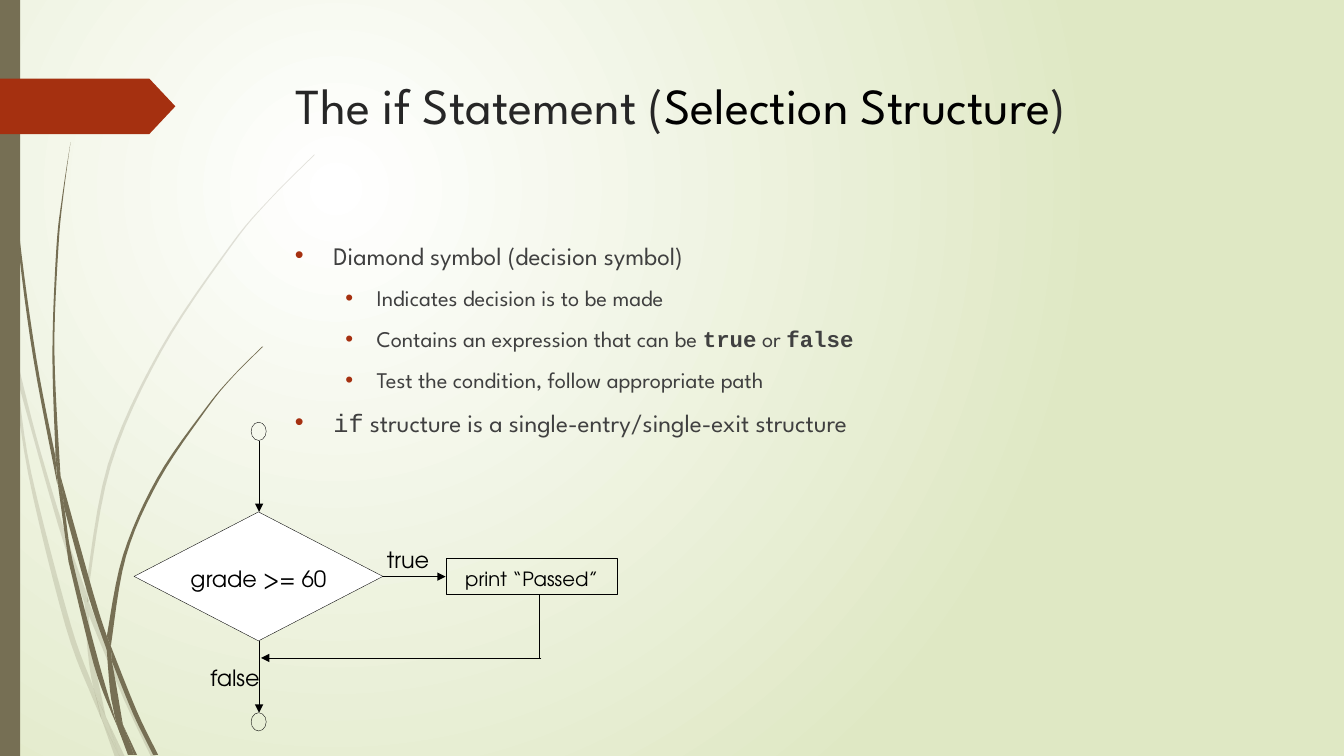
from dataclasses import dataclass
from typing import NamedTuple

from lxml import etree
from pptx import Presentation
from pptx.dml.color import RGBColor
from pptx.enum import shapes, text
from pptx.oxml.ns import qn
from pptx.util import Cm, Pt

Point = tuple[float, float]


@dataclass(frozen=True)
class Theme:
    font: str = "League Spartan"
    code_font: str = "Courier New"
    chart_font: str = "TeX Gyre Adventor"
    title_size: int = 36
    body_sizes: tuple[int, int] = (18, 16)
    chart_sizes: tuple[int, int] = (16, 14)
    olive: RGBColor = RGBColor(0x76, 0x6F, 0x54)
    rust: RGBColor = RGBColor(0xA5, 0x30, 0x10)
    pale_green: RGBColor = RGBColor(0xDF, 0xE8, 0xC4)
    title: RGBColor = RGBColor(0x26, 0x26, 0x26)
    body: RGBColor = RGBColor(0x40, 0x40, 0x40)
    ink: RGBColor = RGBColor(0, 0, 0)
    white: RGBColor = RGBColor(0xFF, 0xFF, 0xFF)


class Blade(NamedTuple):
    """Two edges of a piece of grass, in hundredths of an inch."""
    down: list[Point]
    up: list[Point]


class Node(NamedTuple):
    kind: shapes.MSO_SHAPE
    box: tuple[float, float, float, float]
    wording: str = ""
    size: int = 0
    fill: RGBColor | None = None


class Flow(NamedTuple):
    ends: tuple[float, float, float, float]
    arrow: bool = True


THEME = Theme()
GRASS_UNIT = Cm(2.54) / 100
CURVE_STEPS = 6
INDENTS = ((0.97, 0.97), (2.06, 0.79))

PALE_GRASS = [
    Blade([(0, 282), (9, 322), (11, 350)], [(10, 344), (0, 299)]),
    Blade([(14, 345), (36, 433), (62, 520), (85, 586)], [(84, 599), (58, 522), (17, 376)]),
    Blade([(88, 596), (92, 607), (127, 692), (155, 751)], [(150, 751), (123, 694), (88, 610)]),
    Blade([(105, 711), (124, 751)], [(119, 751)]),
    Blade([(11, 350), (17, 376), (31, 469), (70, 619), (93, 683), (101, 714)],
          [(92, 693), (65, 621), (28, 470), (11, 350)]),
    Blade([(84, 599), (87, 646), (93, 683), (105, 711)], [(91, 646), (88, 610)]),
    Blade([(312, 153), (268, 197), (228, 244), (158, 348), (107, 461), (85, 584)],
          [(88, 596), (88, 584), (110, 462), (160, 349), (229, 245), (268, 198), (312, 154)]),
    Blade([(101, 714), (119, 751)], [(114, 751)]),
    Blade([(85, 586), (88, 596)], [(88, 610), (84, 599)]),
    Blade([(93, 683), (96, 692), (105, 711), (119, 751)], [(119, 751), (101, 714), (99, 707)]),
]
DARK_GRASS = [
    Blade([(3, 0), (4, 48), (7, 110), (17, 233), (33, 355), (57, 481)],
          [(55, 453), (36, 355), (19, 232), (8, 109), (5, 48), (4, 0)]),
    Blade([(60, 472), (93, 590), (106, 631)], [(106, 645), (88, 592), (64, 505)]),
    Blade([(110, 641), (136, 706), (157, 749)], [(152, 749), (132, 708), (111, 656)]),
    Blade([(57, 477), (64, 505), (72, 556), (98, 657), (117, 722)],
          [(111, 708), (93, 659), (68, 557)]),
    Blade([(70, 141), (63, 193), (58, 245), (54, 349), (60, 472)],
          [(55, 449), (52, 349), (56, 245), (62, 193), (70, 141)]),
    Blade([(122, 719), (136, 749)], [(133, 749)]),
    Blade([(55, 449), (60, 472), (64, 505)], [(57, 477), (55, 453)]),
    Blade([(260, 344), (231, 373), (204, 405), (156, 474), (122, 551), (106, 631)],
          [(110, 641), (125, 552), (158, 476), (205, 406), (231, 374), (261, 344)]),
    Blade([(117, 722), (131, 749)], [(127, 749)]),
    Blade([(106, 645), (111, 656), (122, 719)], [(116, 706), (110, 691), (106, 645)]),
    Blade([(106, 631), (110, 641)], [(111, 656), (106, 645)]),
    Blade([(110, 691), (122, 719), (133, 749)], [(130, 749), (117, 722), (110, 691)]),
]

# Level, then wording with its code and bold flags
BULLETS = [
    (0, [("Diamond symbol (decision symbol)", False, False)]),
    (1, [("Indicates decision is to be made", False, False)]),
    (1, [("Contains an expression that can be ", False, False), ("true", True, True),
         (" or ", False, False), ("false", True, True)]),
    (1, [("Test the condition, follow appropriate path", False, False)]),
    (0, [("if", True, False), (" structure is a single-entry/single-exit structure", False, False)]),
]
NODES = [
    Node(shapes.MSO_SHAPE.OVAL, (6.33, 10.64, 0.38, 0.46)),
    Node(shapes.MSO_SHAPE.OVAL, (6.33, 17.96, 0.38, 0.46)),
    Node(shapes.MSO_SHAPE.DIAMOND, (3.38, 12.9, 6.27, 3.25),
         "grade >= 60", THEME.chart_sizes[0], THEME.white),
    Node(shapes.MSO_SHAPE.RECTANGLE, (11.24, 14.07, 4.32, 0.91),
         "print “Passed”", THEME.chart_sizes[1]),
]
FLOWS = [Flow((6.53, 11.1, 6.53, 12.9)), Flow((6.53, 16.15, 6.53, 17.96)),
         Flow((9.65, 14.53, 11.23, 14.53)), Flow((13.59, 14.99, 13.59, 16.58), arrow=False),
         Flow((13.64, 16.58, 6.58, 16.58))]
LABELS = {"true": (9.75, 13.77, 1.4, 0.91), "false": (5.3, 16.74, 1.7, 0.91)}


def paint(shape, fill: RGBColor | None) -> None:
    shape.shadow.inherit = False
    shape.line.fill.background()
    if fill is None:
        shape.fill.background()
    else:
        shape.fill.solid()
        shape.fill.fore_color.rgb = fill


def smooth(points: list[Point]) -> list[Point]:
    """Catmull-Rom curve through the points."""
    padded = [points[0], *points, points[-1]]
    steps = [step / CURVE_STEPS for step in range(CURVE_STEPS)]
    return [tuple(q + t * (r - p) / 2 + t**2 * (2 * p - 5 * q + 4 * r - s) / 2
                  + t**3 * (3 * q - p - 3 * r + s) / 2 for p, q, r, s in zip(*four))
            for four in zip(padded, padded[1:], padded[2:], padded[3:])
            for t in steps] + [points[-1]]


def draw_grass(slide, blades: list[Blade], opacity: int) -> None:
    group = slide.shapes.add_group_shape()
    for blade in blades:
        outline = [(x * GRASS_UNIT, y * GRASS_UNIT)
                   for x, y in smooth(blade.down) + smooth(blade.up)]
        builder = group.shapes.build_freeform(*outline[0])
        builder.add_line_segments(outline[1:], close=True)
        shape = builder.convert_to_shape()
        paint(shape, THEME.olive)
        if opacity < 100:
            tint = shape.element.spPr.find(qn("a:solidFill"))[0]
            etree.SubElement(tint, qn("a:alpha"), val=str(opacity * 1000))


def draw_background(slide) -> None:
    fill = slide.background.fill
    fill.gradient()
    for stop, value in zip(fill.gradient_stops, (THEME.white, THEME.pale_green)):
        stop.color.rgb = value
    gradient = slide.element.find(".//" + qn("a:gradFill"))
    gradient.remove(gradient.find(qn("a:lin")))
    circle = etree.SubElement(gradient, qn("a:path"), path="circle")
    etree.SubElement(circle, qn("a:fillToRect"), l="50000", t="50000", r="100000", b="100000")


def place(shape, *box: float) -> None:
    shape.left, shape.top, shape.width, shape.height = map(Cm, box)
    shape.text_frame.vertical_anchor = text.MSO_ANCHOR.TOP
    shape.text_frame.auto_size = text.MSO_AUTO_SIZE.NONE


def write_title(title) -> None:
    place(title, 7.2, 1.73, 24.77, 3.56)
    paragraph = title.text_frame.paragraphs[0]
    paragraph.alignment = text.PP_ALIGN.LEFT
    paragraph.font.name, paragraph.font.size = THEME.font, Pt(THEME.title_size)
    for wording, value in (("The if Statement (", THEME.title),
                           ("Selection Structure", THEME.ink), (")", THEME.title)):
        run = paragraph.add_run()
        run.text, run.font.color.rgb = wording, value


def write_bullets(body) -> None:
    place(body, 7.18, 5.92, 24.77, 10.49)
    for index, (level, runs) in enumerate(BULLETS):
        paragraph = body.text_frame.add_paragraph() if index else body.text_frame.paragraphs[0]
        paragraph.level, paragraph.space_before = level, Pt(10)
        margin, hanging = map(Cm, INDENTS[level])
        properties = paragraph._p.get_or_add_pPr()
        properties.set("marL", str(margin))
        properties.set("indent", str(-hanging))
        bullet_color = etree.SubElement(properties, qn("a:buClr"))
        etree.SubElement(bullet_color, qn("a:srgbClr"), val=str(THEME.rust))
        etree.SubElement(properties, qn("a:buFont"), typeface="Arial")
        etree.SubElement(properties, qn("a:buChar"), char="•")
        paragraph.font.size = Pt(THEME.body_sizes[level])
        paragraph.font.color.rgb = THEME.body
        for wording, code, bold in runs:
            run = paragraph.add_run()
            run.text, run.font.bold = wording, bold
            run.font.name = THEME.code_font if code else THEME.font


def write_chart_text(shape, wording: str, size: int, top_inset: float = 0) -> None:
    frame = shape.text_frame
    frame.margin_left = frame.margin_right = frame.margin_bottom = 0
    frame.margin_top, frame.word_wrap = Cm(top_inset), False
    paragraph = frame.paragraphs[0]
    paragraph.text = wording
    paragraph.font.name, paragraph.font.size = THEME.chart_font, Pt(size)
    paragraph.font.color.rgb = THEME.ink


def draw_flowchart(slide) -> None:
    group = slide.shapes.add_group_shape()
    for flow in FLOWS:
        line = group.shapes.add_connector(shapes.MSO_CONNECTOR.STRAIGHT, *map(Cm, flow.ends))
        line.line.color.rgb, line.line.width = THEME.ink, Pt(0.25)
        if flow.arrow:
            etree.SubElement(line.line._get_or_add_ln(), qn("a:tailEnd"), type="triangle")
        etree.SubElement(line.element.spPr, qn("a:effectLst"))
    for node in NODES:
        shape = group.shapes.add_shape(node.kind, *map(Cm, node.box))
        paint(shape, node.fill)
        shape.line.color.rgb, shape.line.width = THEME.ink, Pt(0.25)
        if node.wording:
            write_chart_text(shape, node.wording, node.size, top_inset=0.12)
    for wording, box in LABELS.items():
        label = group.shapes.add_textbox(*map(Cm, box))
        write_chart_text(label, wording, THEME.chart_sizes[0])


# Slide, backdrop and grass
presentation = Presentation()
presentation.slide_width, presentation.slide_height = Cm(33.87), Cm(19.05)
slide = presentation.slides.add_slide(presentation.slide_layouts[1])
draw_background(slide)
draw_grass(slide, PALE_GRASS, opacity=20)
draw_grass(slide, DARK_GRASS, opacity=100)

# Side bar and arrow tag
bar = slide.shapes.add_shape(shapes.MSO_SHAPE.RECTANGLE, 0, 0, Cm(0.51), Cm(19.05))
paint(bar, THEME.olive)
tag = slide.shapes.add_shape(shapes.MSO_SHAPE.PENTAGON, 0, Cm(1.98), Cm(4.42), Cm(1.4))
tag.adjustments[0] = 0.47
paint(tag, THEME.rust)

# Text and flowchart
write_title(slide.shapes.title)
write_bullets(slide.placeholders[1])
draw_flowchart(slide)
presentation.save("out.pptx")
